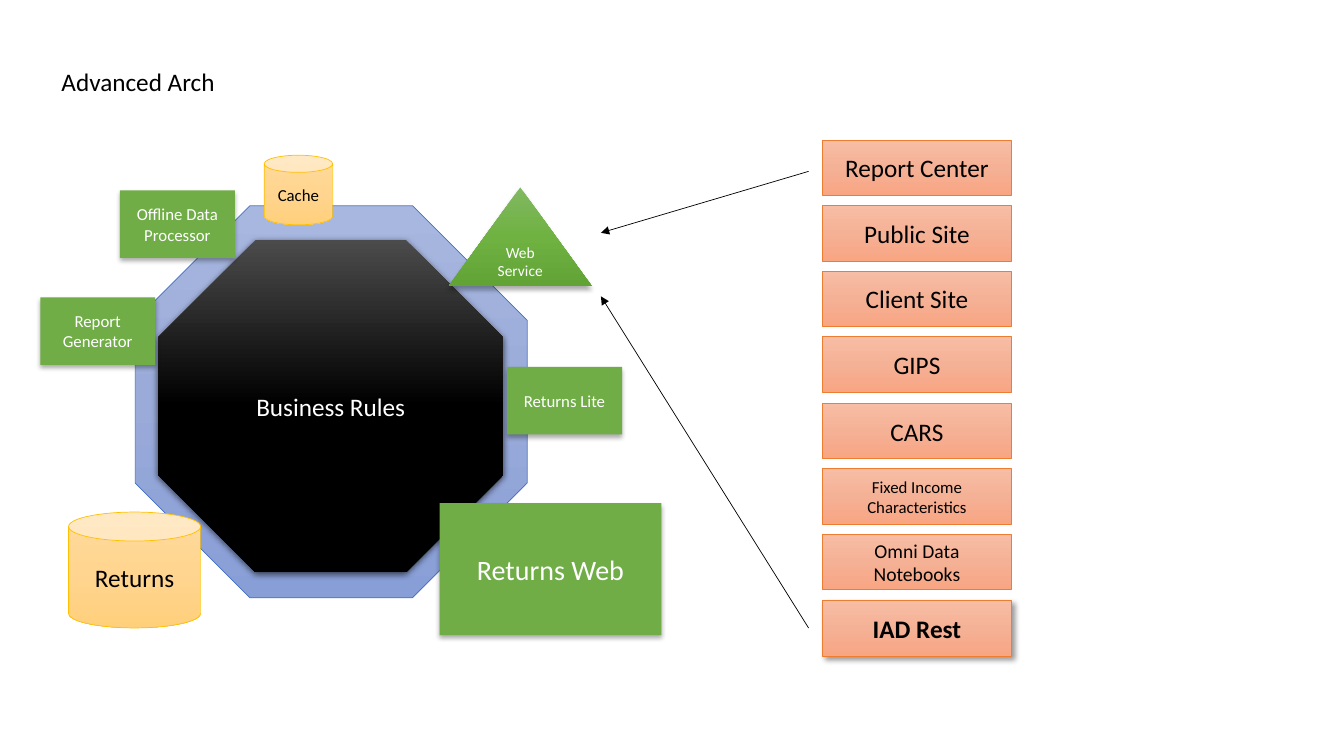
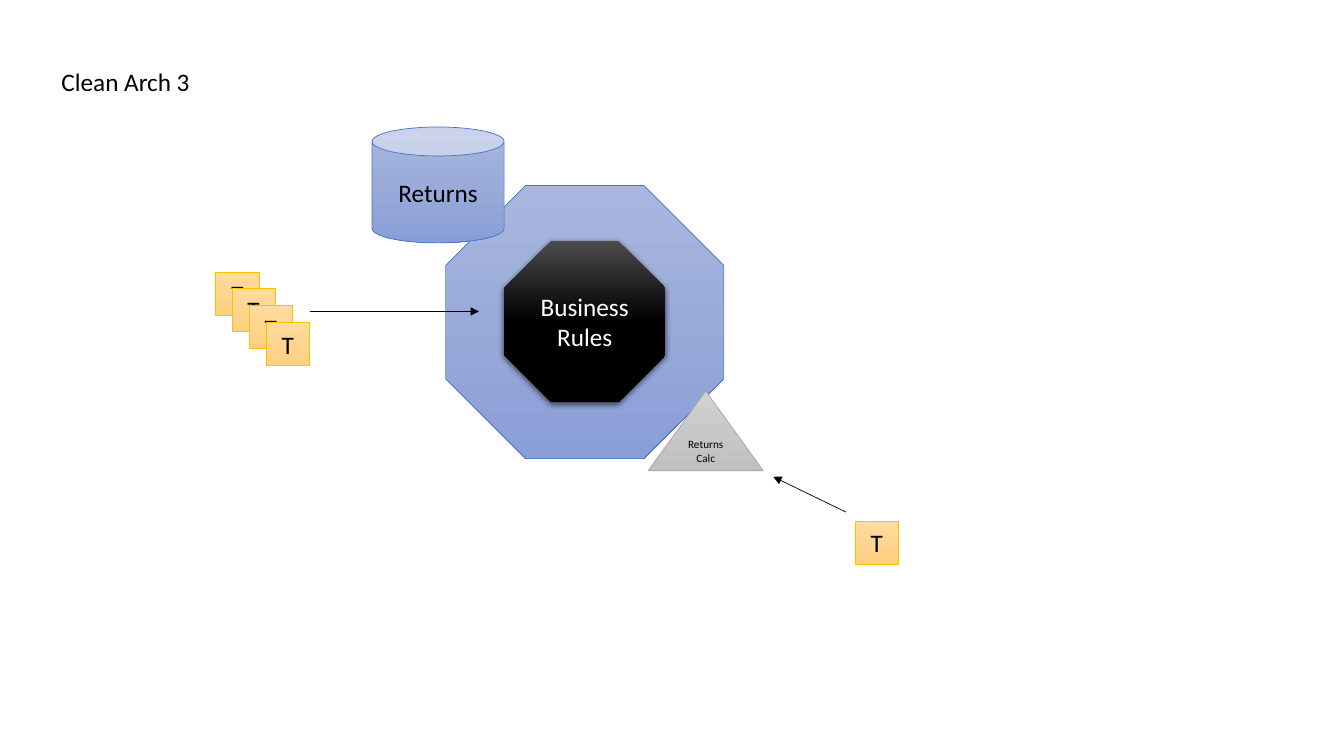
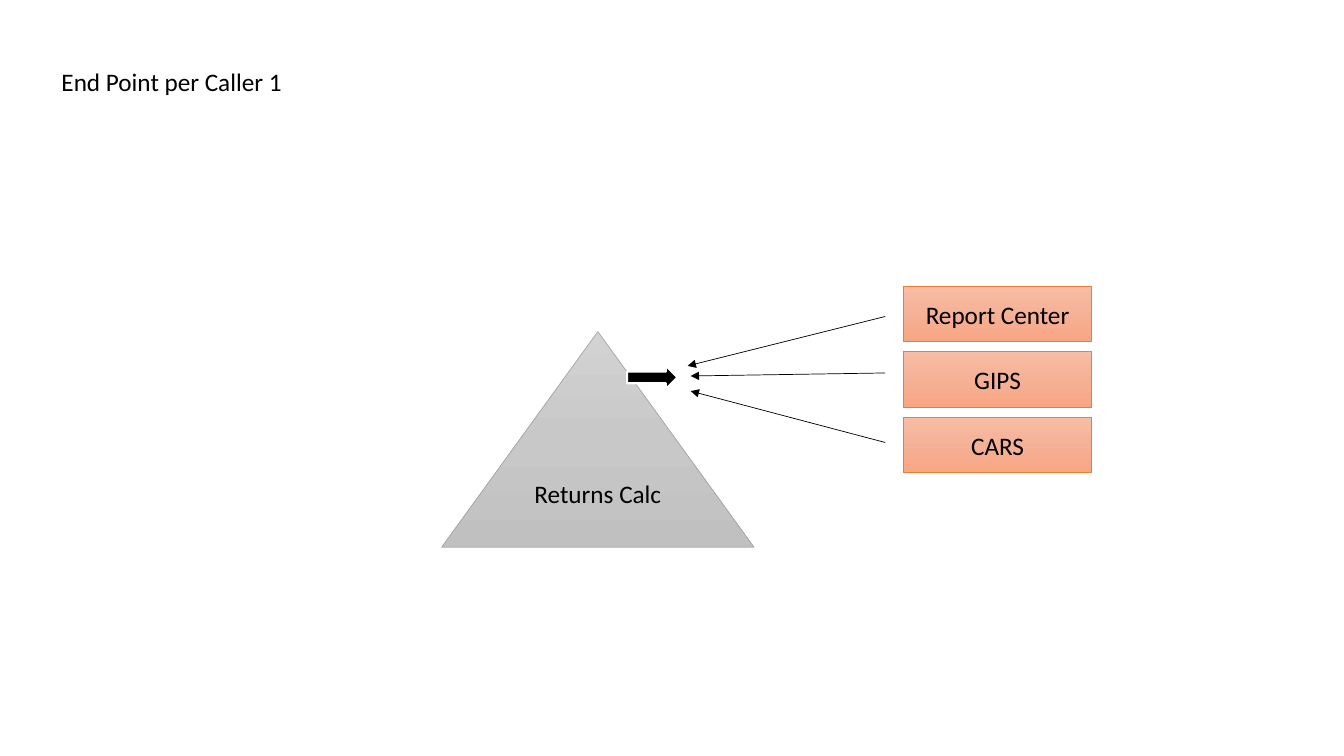
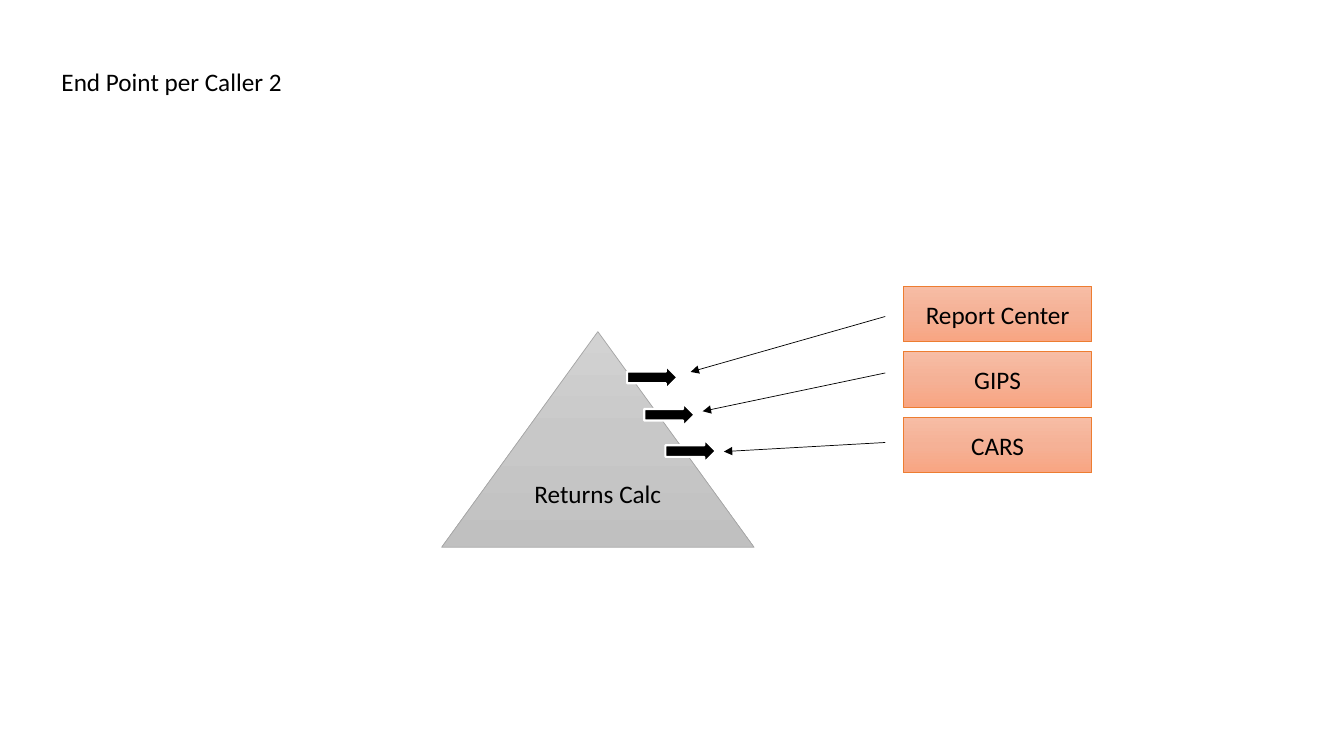
from copy import deepcopy

from pptx import Presentation
from pptx import util as u
from pptx.dml.color import RGBColor
from pptx.enum import shapes, text
from pptx.oxml import parse_xml
from pptx.oxml.ns import nsdecls, qn

PX = 9144
FONT = "Calibri"
KIND = shapes.MSO_SHAPE

BLACK = RGBColor(0x00, 0x00, 0x00)
WHITE = RGBColor(0xFF, 0xFF, 0xFF)
BLUE = RGBColor(0x44, 0x72, 0xC4)
GOLD = RGBColor(0xFF, 0xC0, 0x00)
ORANGE = RGBColor(0xED, 0x7D, 0x31)
GREY = RGBColor(0xA5, 0xA5, 0xA5)
GREEN = RGBColor(0x70, 0xAD, 0x47)
BLUES = (RGBColor(0xA8, 0xB7, 0xDF), RGBColor(0x9A, 0xAB, 0xD9), RGBColor(0x88, 0x9E, 0xD7))
GOLDS = (RGBColor(0xFF, 0xDB, 0x9E), RGBColor(0xFF, 0xD5, 0x90), RGBColor(0xFF, 0xD0, 0x7C))
PEACH = (RGBColor(0xF7, 0xBD, 0xA5), RGBColor(0xF5, 0xB1, 0x96), RGBColor(0xF8, 0xA5, 0x82))
GREYS = (RGBColor(0xD2, 0xD2, 0xD2), RGBColor(0xC8, 0xC8, 0xC8), RGBColor(0xC0, 0xC0, 0xC0))
GREENS = (RGBColor(0x81, 0xB8, 0x61), RGBColor(0x6F, 0xB2, 0x42), RGBColor(0x62, 0xA3, 0x36))
DARKS = (RGBColor(0x4B, 0x4B, 0x4B), BLACK, BLACK)

SOFT = (32, 3.5, 2.2, 90)
DEEP = (63, 4.5, 1.5, 90)
SLANT = (40, 4, 3, 45)

RING = {"fill": BLUES, "edge": BLUE}
CORE = {"fill": DARKS, "ink": WHITE, "shade": DEEP}
STORE = {"fill": GOLDS, "edge": GOLD}
PORT = {"fill": GREENS, "ink": WHITE, "shade": SOFT}
PART = {"fill": (GREEN,), "ink": WHITE, "shade": SOFT}
USER = {"fill": PEACH, "edge": ORANGE}
CALC = {"fill": GREYS, "edge": GREY}
POINT = {"fill": (BLACK,), "edge": WHITE, "width": 1.5}


def put(item, **values):
    """Set each named format value on an item."""
    for name, value in values.items():
        setattr(item, name, value)


def write(frame, words, size, ink=BLACK, bold=False):
    """Put one formatted run in a text frame and return it."""
    run = frame.paragraphs[0].add_run()
    run.text = words
    put(run.font, name=FONT, size=u.Pt(size), bold=bold)
    run.font.color.rgb = ink
    return run


def paint(shape, tints):
    """Fill a shape with one colour or a gradient running down."""
    fill = shape.fill
    if len(tints) == 1:
        fill.solid()
        fill.fore_color.rgb = tints[0]
        return
    fill.gradient()
    fill.gradient_angle = 270
    stops = shape._element.spPr.find(qn("a:gradFill")).find(qn("a:gsLst"))
    stops.insert(1, deepcopy(stops[0]))
    for i, (stop, tint) in enumerate(zip(fill.gradient_stops, tints)):
        stop.position = i / 2
        stop.color.rgb = tint


def cast(shape, alpha, blur, dist, angle):
    """Give a shape an outer black shadow."""
    shape._element.spPr.find(qn("a:effectLst")).append(parse_xml(
        f'<a:outerShdw {nsdecls("a")} blurRad="{u.Pt(blur)}" dist="{u.Pt(dist)}" '
        f'dir="{angle * 60000}" algn="ctr" rotWithShape="0"><a:srgbClr val="{BLACK}">'
        f'<a:alpha val="{alpha * 1000}"/></a:srgbClr></a:outerShdw>'))


def block(slide, kind, box, look, words="", size=18, bold=False):
    """Add a preset shape in one of the shared looks."""
    shape = slide.shapes.add_shape(kind, *(n * PX for n in box))
    shape.shadow.inherit = False
    paint(shape, look["fill"])
    if "edge" in look:
        shape.line.color.rgb = look["edge"]
        shape.line.width = u.Pt(look.get("width", 0.5))
    else:
        shape.line.fill.background()
    if "shade" in look:
        cast(shape, *look["shade"])
    if words:
        run = write(shape.text_frame, words, size, look.get("ink", BLACK), bold)
        if bold:
            run.font._element.insert(0, parse_xml(
                f'<a:ln {nsdecls("a")} w="{u.Pt(0.75)}"><a:solidFill>'
                f'<a:srgbClr val="{WHITE}"/></a:solidFill></a:ln>'))
    return shape


def arrow(slide, *ends):
    """Draw a thin straight line with a head at its end."""
    line = slide.shapes.add_connector(shapes.MSO_CONNECTOR.STRAIGHT, *(n * PX for n in ends))
    line.line.color.rgb = BLACK
    line.line.width = u.Pt(0.5)
    props = line._element.spPr
    props.find(qn("a:ln")).append(parse_xml(f'<a:tailEnd {nsdecls("a")} type="triangle"/>'))
    props.append(parse_xml(f'<a:effectLst {nsdecls("a")}/>'))


def page(deck, title, width):
    """Add a slide with a small title at the top left."""
    slide = deck.slides.add_slide(deck.slide_layouts[5])
    head = slide.shapes.title
    put(head, left=51 * PX, top=61 * PX, width=width * PX, height=40 * PX)
    put(head.text_frame, word_wrap=False, auto_size=text.MSO_AUTO_SIZE.SHAPE_TO_FIT_TEXT,
        vertical_anchor=text.MSO_ANCHOR.TOP)
    head.text_frame.paragraphs[0].alignment = text.PP_ALIGN.LEFT
    write(head.text_frame, title, 18)
    return slide


def stack(slide, left, top, rows):
    """Stack the caller boxes at an even pitch."""
    for i, (words, size, more) in enumerate(rows):
        box = (left, top + i * 653 // 10, 187, 55)
        block(slide, KIND.RECTANGLE, box, USER | more, words, size, bool(more))


def advanced(deck):
    """Build the slide with all parts around the rules."""
    slide = page(deck, "Advanced Arch", 174)
    block(slide, KIND.OCTAGON, (134, 204, 389, 389), RING)
    block(slide, KIND.OCTAGON, (157, 238, 342, 330), CORE, "Business Rules")
    block(slide, KIND.CAN, (68, 508, 131, 115), STORE, "Returns")
    block(slide, KIND.CAN, (262, 154, 68, 69), STORE, "Cache", 12)
    block(slide, KIND.ISOSCELES_TRIANGLE, (445, 186, 142, 98), PORT, "Web Service", 11)
    for left, top, words in ((503, 364, "Returns Lite"), (119, 189, "Offline Data Processor"),
                             (40, 295, "Report Generator")):
        block(slide, KIND.RECTANGLE, (left, top, 114, 67), PART, words, 12)
    block(slide, KIND.RECTANGLE, (436, 499, 220, 131), PART, "Returns Web", 20)
    stack(slide, 816, 139, (
        ("Report Center", 18, {}), ("Public Site", 18, {}), ("Client Site", 18, {}),
        ("GIPS", 18, {}), ("CARS", 18, {}), ("Fixed Income Characteristics", 12, {}),
        ("Omni Data Notebooks", 14, {}), ("IAD Rest", 18, {"shade": SLANT})))
    arrow(slide, 802, 170, 596, 231)
    arrow(slide, 802, 623, 596, 294)


def clean(deck):
    """Build the slide with tests on both sides of the rules."""
    slide = page(deck, "Clean Arch 3", 149)
    block(slide, KIND.OCTAGON, (442, 184, 276, 271), RING)
    block(slide, KIND.OCTAGON, (500, 239, 160, 160), CORE, "Business Rules")
    block(slide, KIND.CAN, (369, 126, 131, 115), RING, "Returns")
    block(slide, KIND.ISOSCELES_TRIANGLE, (643, 388, 114, 79), CALC, "Returns Calc", 8)
    steps = [i * 50 // 3 for i in range(4)]
    for left, top in [(214 + n, 270 + n) for n in steps] + [(848, 517)]:
        block(slide, KIND.RECTANGLE, (left, top, 43, 43), STORE, "T")
    arrow(slide, 307, 309, 475, 309)
    arrow(slide, 839, 508, 767, 473)


def callers(deck, title, points, tips):
    """Build a slide of callers aiming at end points."""
    slide = page(deck, title, 241)
    block(slide, KIND.ISOSCELES_TRIANGLE, (438, 329, 310, 214), CALC, "Returns Calc")
    for left, top in points:
        block(slide, KIND.RIGHT_ARROW, (left, top, 50, 23), POINT)
    stack(slide, 896, 284, [(words, 18, {}) for words in ("Report Center", "GIPS", "CARS")])
    for start, tip in zip((314, 370, 439), tips):
        arrow(slide, 878, start, *tip)


def main():
    """Build and save the deck."""
    deck = Presentation()
    put(deck, slide_width=1333 * PX, slide_height=750 * PX)
    advanced(deck)
    clean(deck)
    callers(deck, "End Point per Caller 1", [(622, 363)],
            [(682, 363), (685, 373), (685, 388)])
    callers(deck, "End Point per Caller 2", [(622, 363), (639, 400), (660, 436)],
            [(685, 369), (697, 408), (718, 448)])
    deck.save("out.pptx")


if __name__ == "__main__":
    main()
